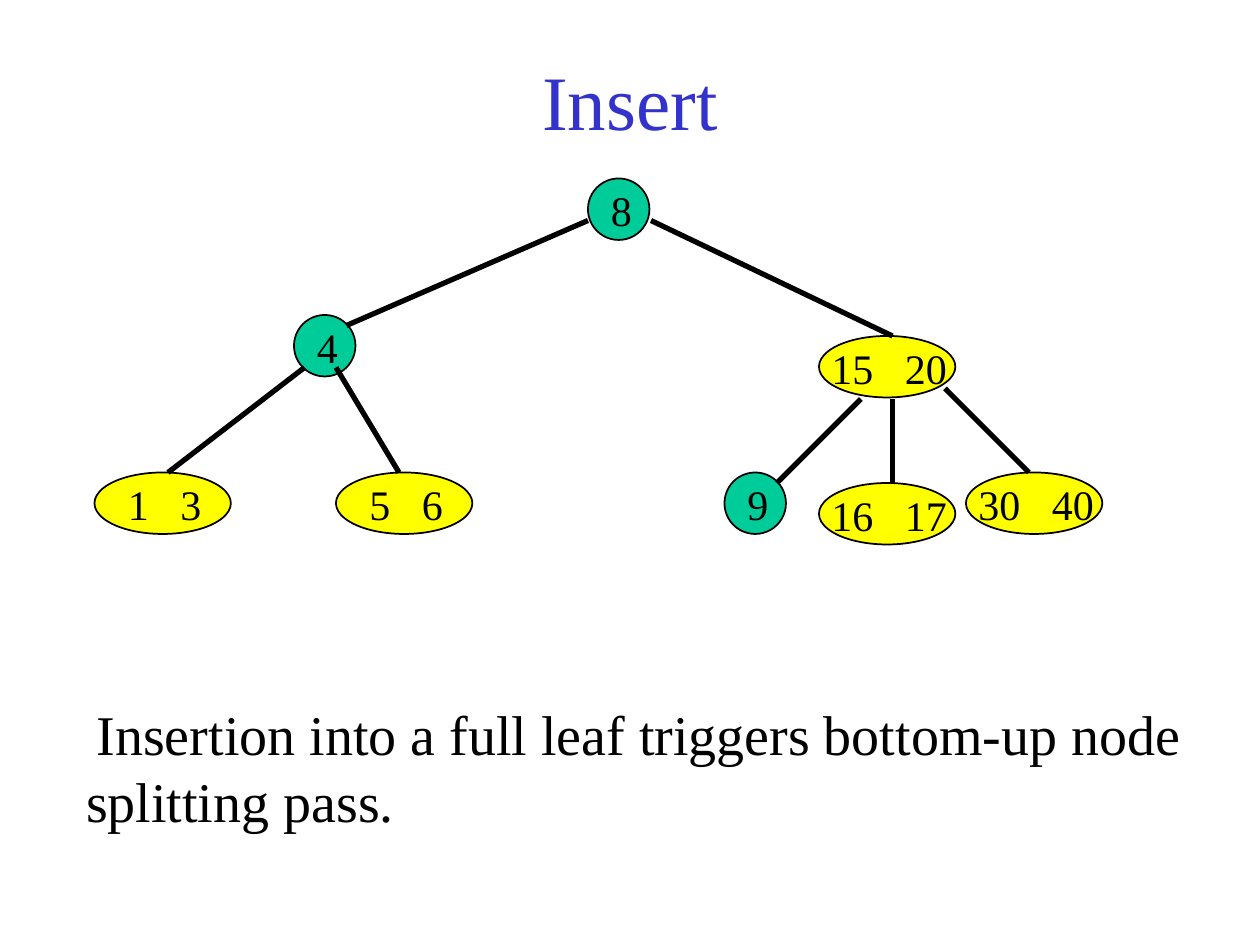
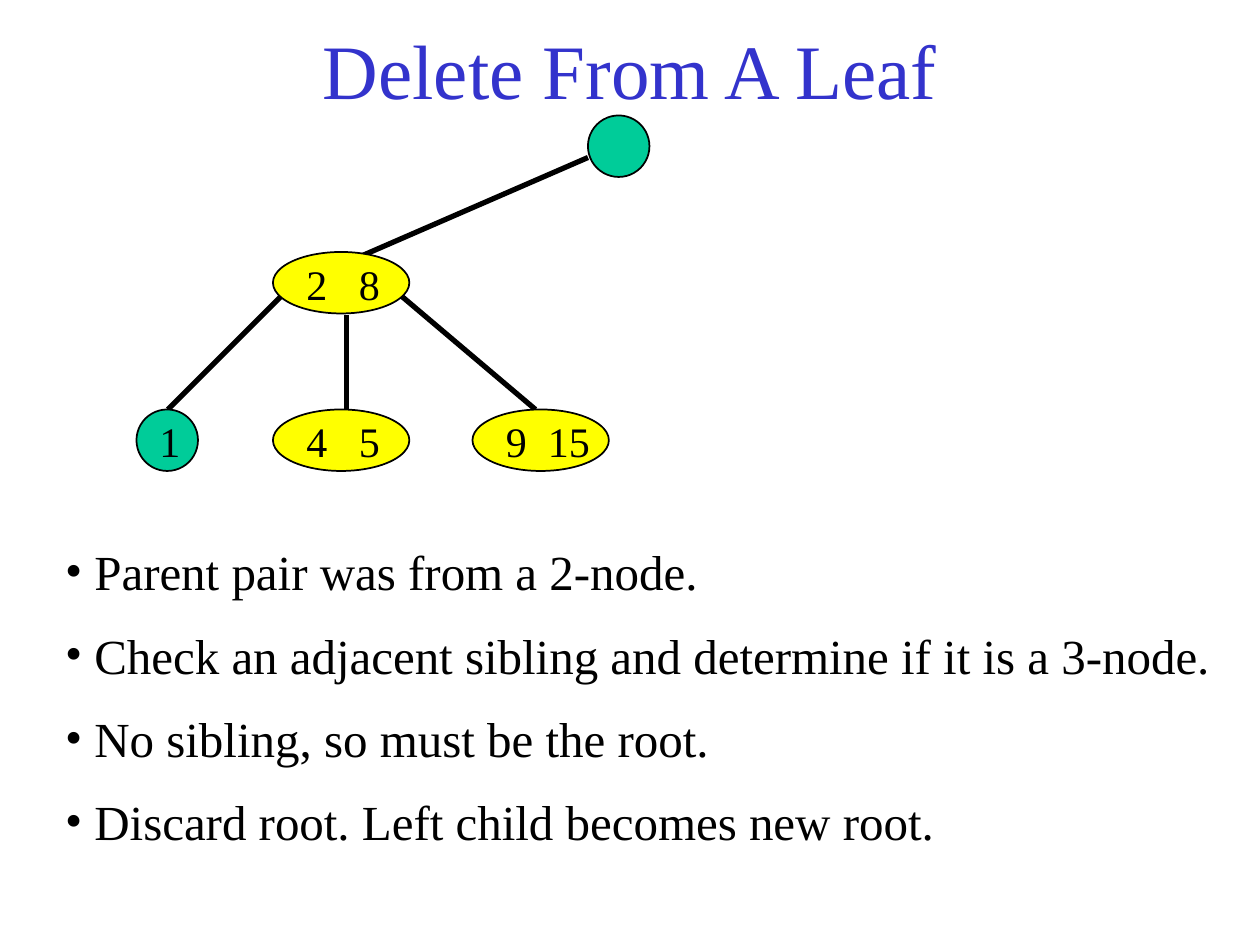
from lxml.etree import SubElement as Sub
from pptx import Presentation
from pptx.dml.color import RGBColor
from pptx.enum.shapes import MSO_CONNECTOR as Link, MSO_SHAPE as Form
from pptx.enum.text import MSO_ANCHOR as Anchor, MSO_AUTO_SIZE as Fit, PP_ALIGN as Align
from pptx.oxml.ns import qn
from pptx.util import Cm, Pt

BLACK = RGBColor(0x00, 0x00, 0x00)
BLUE = RGBColor(0x33, 0x33, 0xCC)
GREEN = RGBColor(0x00, 0xCC, 0x99)
YELLOW = RGBColor(0xFF, 0xFF, 0x00)
FACE = "Times New Roman"
CELL = 2.54 / 12
WIDTHS = {1: 5, 2: 10, 3: 13, 4: 18}


def grid(*cells):
    return [Cm(n * CELL) for n in cells]


def style(para, size, color=BLACK):
    para.font.name = FACE
    para.font.size = Pt(size)
    para.font.color.rgb = color


def place(shape, area):
    shape.left, shape.top, shape.width, shape.height = grid(*area)
    shape.text_frame.word_wrap = True
    shape.text_frame.auto_size = Fit.NONE


def add_slide(deck, title, tall):
    slide = deck.slides.add_slide(deck.slide_layouts[1])
    head = slide.shapes.title
    place(head, (9, 2, 102, tall))
    frame = head.text_frame
    frame.text = title
    frame.vertical_anchor = Anchor.MIDDLE
    frame.paragraphs[0].alignment = Align.CENTER
    style(frame.paragraphs[0], 44, BLUE)
    return slide


def add_body(slide, area, lines, size, left, indent, mark=None):
    body = slide.placeholders[1]
    place(body, area)
    body.text_frame.vertical_anchor = Anchor.TOP
    body.text_frame.text = "\n".join(lines)
    for i, para in enumerate(body.text_frame.paragraphs):
        props = para._p.get_or_add_pPr()
        props.set("marL", str(Cm(left)))
        props.set("indent", str(Cm(indent)))
        if mark:
            Sub(props, qn("a:buFont"), typeface=FACE)
            Sub(props, qn("a:buChar"), char=mark)
        else:
            Sub(props, qn("a:buNone"))
        para.space_before = Pt(14 if i else 0)
        style(para, size)


def add_label(slide, x, y, keys, gap):
    digits = len("".join(keys))
    shift = 1 if len(keys) == 1 else 2 if len(keys[0]) == 1 else 0
    box = slide.shapes.add_textbox(*grid(x + shift, y, WIDTHS[digits], 6))
    box.text_frame.word_wrap = True
    box.text_frame.text = "\t".join(keys)
    para = box.text_frame.paragraphs[0]
    if len(keys) > 1:
        tabs = Sub(para._p.get_or_add_pPr(), qn("a:tabLst"))
        stop = Pt(12 * len(keys[0]) + gap)
        Sub(tabs, qn("a:tab"), pos=str(stop), algn="l")
    style(para, 24)


def add_node(slide, x, y, keys="", gap=18):
    keys = keys.split()
    pair = len(keys) > 1
    wide = Cm(2.75 if pair else 1.24)
    node = slide.shapes.add_shape(Form.OVAL, *grid(x, y), wide, Cm(1.24))
    node.shadow.inherit = False
    node.fill.solid()
    node.fill.fore_color.rgb = YELLOW if pair else GREEN
    node.line.color.rgb = BLACK
    node.line.width = Pt(1)
    if keys:
        add_label(slide, x, y, keys, gap)


def add_edge(slide, *ends):
    edge = slide.shapes.add_connector(Link.STRAIGHT, *grid(*ends))
    edge.line.color.rgb = BLACK
    edge.line.width = Pt(3)
    Sub(edge._element.spPr, qn("a:effectLst"))


def insert(deck):
    slide = add_slide(deck, "Insert", 15)
    for node in (
        (56, 17, "8"), (28, 30, "4"), (78, 32, "15 20"),
        (9, 45, "1 3"), (32, 45, "5 6"), (69, 45, "9"),
        (78, 46, "16 17"), (92, 45, "30 40"),
    ):
        add_node(slide, *node)
    for edge in (
        (56, 21, 33, 31), (62, 21, 85, 32), (29, 35, 16, 45), (32, 35, 38, 45),
        (82, 38, 74, 46), (85, 38, 85, 46), (90, 37, 98, 45),
    ):
        add_edge(slide, *edge)
    text = "Insertion into a full leaf triggers bottom-up node splitting pass."
    add_body(slide, (7, 66, 111, 14), [text], 32, 0, 0.21)


def delete(deck):
    slide = add_slide(deck, "Delete From A Leaf", 9)
    for edge in (
        (56, 15, 33, 25), (27, 28, 16, 39), (33, 30, 33, 39), (38, 28, 51, 39),
    ):
        add_edge(slide, *edge)
    for node in (
        (56, 11), (26, 24, "2 8"), (13, 39, "1"),
        (26, 39, "4 5"), (45, 39, "9 15", 12),
    ):
        add_node(slide, *node)
    lines = [
        "Parent pair was from a 2-node.",
        "Check an adjacent sibling and determine if it is a 3-node.",
        "No sibling, so must be the root.",
        "Discard root. Left child becomes new root.",
    ]
    add_body(slide, (5, 51, 115, 32), lines, 28, 0.59, -0.59, "•")


def main():
    deck = Presentation()
    deck.slide_width, deck.slide_height = Cm(25.4), Cm(19.05)
    insert(deck)
    delete(deck)
    deck.save("out.pptx")


if __name__ == "__main__":
    main()
